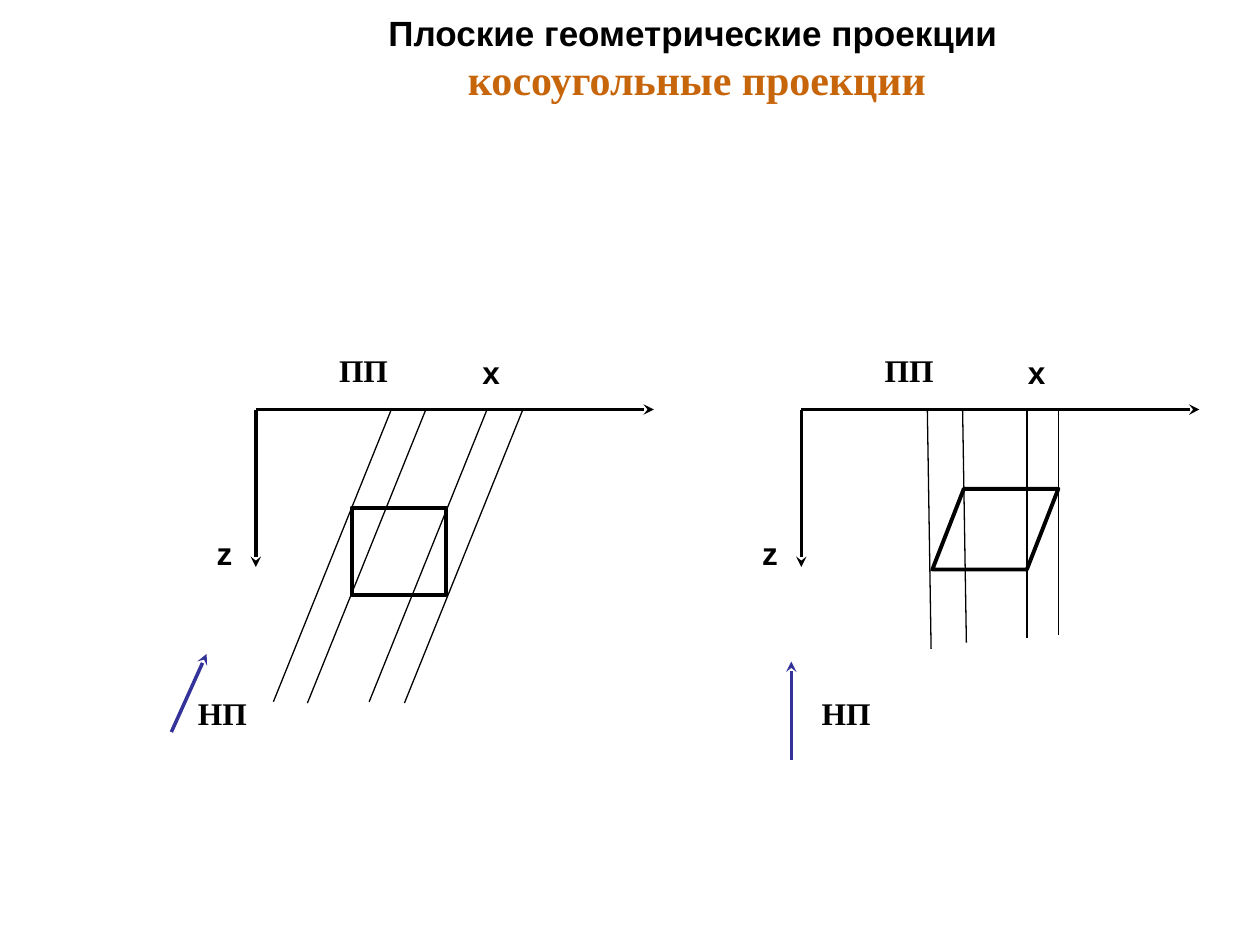
from pptx import Presentation
from pptx.dml.color import RGBColor
from pptx.enum.shapes import MSO_CONNECTOR, MSO_SHAPE
from pptx.enum.text import MSO_ANCHOR, MSO_AUTO_SIZE, PP_ALIGN
from pptx.oxml.ns import qn
from pptx.util import Inches, Pt
from lxml import etree

BLACK, BLUE, ORANGE = "000000", "333399", "C7650B"
SANS, SERIF = "Arial", "Times New Roman"
AXIS_Y = 3.25


def color(code):
    return RGBColor.from_string(code)


class Sketch:
    """Holds the style and the current slide."""

    thin, thick, edge = 0.75, 2, 2.25

    def __init__(self, slide):
        self.shapes = slide.shapes

    def run(self, para, text, font, size=18, tint=BLACK):
        run = para.add_run()
        run.text = text
        run.font.name = font
        run.font.size = Pt(size)
        run.font.bold = True
        run.font.color.rgb = color(tint)

    def box(self, left, top, width, height):
        area = map(Inches, (left, top, width, height))
        return self.shapes.add_textbox(*area).text_frame

    def title(self):
        frame = self.box(1, -0.03, 9, 0.97)
        frame.word_wrap = True
        frame.vertical_anchor = MSO_ANCHOR.MIDDLE
        para = frame.paragraphs[0]
        para.alignment = PP_ALIGN.CENTER
        self.run(para, "Плоские геометрические проекции", SANS, 20)
        para.add_line_break()
        self.run(para, " ", SERIF)
        self.run(para, "косоугольные проекции", SERIF, 24, ORANGE)

    def label(self, text, left, top, width, font):
        frame = self.box(left, top, width, 0.4)
        frame.word_wrap = False
        frame.auto_size = MSO_AUTO_SIZE.SHAPE_TO_FIT_TEXT
        self.run(frame.paragraphs[0], text, font)

    def line(self, start, end, width=thin, tint=BLACK, arrow=False):
        ends = map(Inches, (*start, *end))
        line = self.shapes.add_connector(MSO_CONNECTOR.STRAIGHT, *ends)
        line.line.width = Pt(width)
        line.line.color.rgb = color(tint)
        if arrow:
            tip = etree.SubElement(line.line._get_or_add_ln(), qn("a:tailEnd"))
            tip.set("type", "stealth")
        etree.SubElement(line._element.spPr, qn("a:effectLst"))

    def arrow(self, start, end, tint=BLACK):
        self.line(start, end, self.thick, tint, arrow=True)

    def outline(self, kind, left, top, width, height):
        area = map(Inches, (left, top, width, height))
        shape = self.shapes.add_shape(kind, *area)
        shape.shadow.inherit = False
        shape.fill.background()
        shape.line.color.rgb = color(BLACK)
        shape.line.width = Pt(self.edge)
        return shape

    def axes(self, left):
        """Draw the x and z axes with their labels, from the origin at left."""
        origin = (left, AXIS_Y)
        self.arrow(origin, (left + 3.16, AXIS_Y))
        self.arrow(origin, (left, AXIS_Y + 1.25))
        self.line((left + 0.89, AXIS_Y), (left + 1.11, AXIS_Y), self.thick)
        self.label("z", left - 0.41, 4.19, 0.32, SANS)
        self.label("x", left + 1.7, 2.75, 0.34, SANS)
        self.label(" ПП", left + 0.5, 2.74, 0.65, SERIF)

    def view(self, start, end, left):
        """Draw the arrow of the projection direction and its label."""
        self.arrow(start, end, BLUE)
        self.label(" НП", left, 5.46, 0.65, SERIF)


def main():
    deck = Presentation()
    deck.slide_width, deck.slide_height = Inches(10), Inches(7.5)
    sketch = Sketch(deck.slides.add_slide(deck.slide_layouts[6]))
    sketch.title()

    # Slanted rays through a square
    sketch.axes(2.03)
    sketch.view((1.36, 5.81), (1.64, 5.19), 1.41)
    sketch.outline(MSO_SHAPE.RECTANGLE, 2.79, 4.03, 0.75, 0.69)
    for foot, low in ((2.17, 5.57), (2.44, 5.58), (2.93, 5.57), (3.21, 5.58)):
        sketch.line((foot, low), (foot + 0.94, low - 2.33))

    # Upright rays through a slanted figure
    sketch.axes(6.36)
    sketch.view((6.28, 6.03), (6.28, 5.25), 6.36)
    skew = sketch.outline(MSO_SHAPE.PARALLELOGRAM, 7.4, 3.88, 1, 0.64)
    skew.adjustments[0] = 0.39
    for foot, low, head in ((7.39, 5.15, 7.36), (7.67, 5.1, 7.64),
                            (8.15, 5.06, 8.15), (8.4, 5.04, 8.4)):
        sketch.line((foot, low), (head, AXIS_Y))

    deck.save("out.pptx")


if __name__ == "__main__":
    main()
